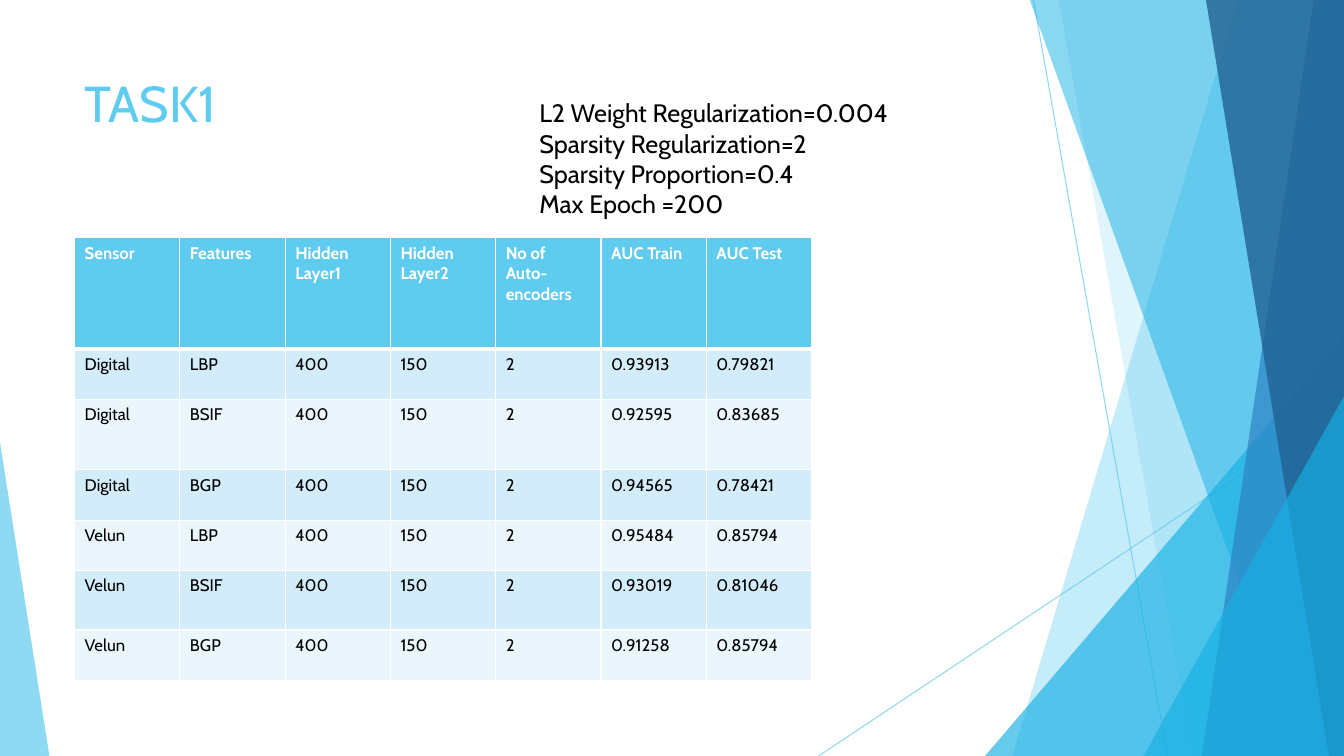
from pptx import Presentation
from pptx.dml.color import RGBColor
from pptx.enum.shapes import MSO_CONNECTOR, MSO_SHAPE
from pptx.enum.text import MSO_ANCHOR
from pptx.oxml.ns import qn
from pptx.util import Inches, Pt
from lxml.etree import SubElement, Element

FONT = "Cabin"
SKY, CYAN, BLUE, NAVY = "5FCBEF", "17B0E4", "2E83C3", "226292"
WHITE, BLACK = "FFFFFF", "000000"
BANDS = ["D2ECF9", "EAF6FC"]
RIGHT, BOTTOM = 13.33, 7.5

HEADERS = ["Sensor", "Features", "Hidden Layer1", "Hidden Layer2",
           "No of Auto-encoders", "AUC Train", "AUC Test"]
RESULTS = [
    ("Digital", "LBP", "0.93913", "0.79821"),
    ("Digital", "BSIF", "0.92595", "0.83685"),
    ("Digital", "BGP", "0.94565", "0.78421"),
    ("Velun", "LBP", "0.95484", "0.85794"),
    ("Velun", "BSIF", "0.93019", "0.81046"),
    ("Velun", "BGP", "0.91258", "0.85794"),
]
LAYERS = ("400", "150", "2")
ROW_HEIGHTS = [1.1, 0.5, 0.7, 0.5, 0.5, 0.59, 0.5]
TABLE_WIDTH = 7.31
SETTINGS = ["L2 Weight Regularization=0.004", "Sparsity Regularization=2",
            "Sparsity Proportion=0.4", "Max Epoch =200"]


def color(hex_string):
    return RGBColor.from_string(hex_string)


def set_alpha(fill_parent, percent):
    rgb = next(fill_parent.iter(qn("a:srgbClr")))
    SubElement(rgb, qn("a:alpha"), val=str(percent * 1000))


def paint(facet, fill, alpha):
    facet.shadow.inherit = False
    facet.fill.solid()
    facet.fill.fore_color.rgb = color(fill)
    set_alpha(facet.fill._xPr, alpha)
    facet.line.fill.background()


def add_ray(slide, start, end):
    ray = slide.shapes.add_connector(
        MSO_CONNECTOR.STRAIGHT, *[Inches(v) for v in start + end])
    ray.line.color.rgb = color(SKY)
    ray.line.width = Pt(0.75)
    properties = ray._element.spPr
    set_alpha(properties, 70)
    SubElement(properties, qn("a:effectLst"))


def add_band(slide, top_left, bottom_left, top_right, fill, alpha):
    """Band that fills the slide from a slanted left edge to the right side."""
    corners = [(top_left, -0.01), (top_right, -0.01),
               (RIGHT, BOTTOM), (bottom_left, BOTTOM)]
    points = [(Inches(x), Inches(y)) for x, y in corners]
    builder = slide.shapes.build_freeform(*points[0])
    builder.add_line_segments(points[1:], close=True)
    paint(builder.convert_to_shape(), fill, alpha)


def add_corner(slide, left, top, width, apex, fill, alpha):
    """Right triangle that stands on the bottom of the slide."""
    corner = slide.shapes.add_shape(
        MSO_SHAPE.ISOSCELES_TRIANGLE, Inches(left), Inches(top),
        Inches(width), Inches(BOTTOM - top))
    corner.adjustments[0] = apex
    paint(corner, fill, alpha)


def write(paragraph, text, size, hex_string, bold=False):
    run = paragraph.add_run()
    run.text = text
    run.font.name = FONT
    run.font.size = Pt(size)
    run.font.bold = bold
    run.font.color.rgb = color(hex_string)


def add_text(slide, left, top, width, height, lines, size, hex_string):
    box = slide.shapes.add_textbox(
        Inches(left), Inches(top), Inches(width), Inches(height))
    frame = box.text_frame
    frame.word_wrap = True
    frame.vertical_anchor = MSO_ANCHOR.TOP
    for number, line in enumerate(lines):
        paragraph = frame.add_paragraph() if number else frame.paragraphs[0]
        write(paragraph, line, size, hex_string)


def set_borders(cell, widths):
    properties = cell._tc.get_or_add_tcPr()
    for position, (side, points) in enumerate(widths.items()):
        border = Element(qn(f"a:ln{side}"), w=str(Pt(points)))
        fill = SubElement(border, qn("a:solidFill"))
        SubElement(fill, qn("a:srgbClr"), val=WHITE)
        properties.insert(position, border)


def add_results(slide):
    rows = [HEADERS] + [(sensor, feature, *LAYERS, train, test)
                        for sensor, feature, train, test in RESULTS]
    results = slide.shapes.add_table(
        len(rows), len(HEADERS), Inches(0.74), Inches(2.36),
        Inches(TABLE_WIDTH), Inches(sum(ROW_HEIGHTS))).table
    for column in results.columns:
        column.width = Inches(TABLE_WIDTH / len(HEADERS))
    for r, (values, height) in enumerate(zip(rows, ROW_HEIGHTS)):
        results.rows[r].height = Inches(height)
        header = r == 0
        for c, value in enumerate(values):
            cell = results.cell(r, c)
            cell.fill.solid()
            cell.fill.fore_color.rgb = color(SKY if header else BANDS[(r - 1) % 2])
            set_borders(cell, {"L": 1, "R": 1, "T": 3 if r == 1 else 1,
                               "B": 3 if header else 1})
            write(cell.text_frame.paragraphs[0], value, 12,
                  WHITE if header else BLACK, bold=header)


def main():
    deck = Presentation()
    deck.slide_width, deck.slide_height = Inches(RIGHT), Inches(BOTTOM)
    slide = deck.slides.add_slide(deck.slide_layouts[6])

    # Faceted backdrop
    add_ray(slide, (10.25, 0), (11.58, BOTTOM))
    add_ray(slide, (RIGHT, 4.03), (8.12, BOTTOM))
    add_band(slide, 12.28, 10.04, RIGHT, SKY, 36)
    add_band(slide, 10.5, 11.83, RIGHT, SKY, 20)
    add_corner(slide, 9.77, 3.33, 3.56, 1, CYAN, 66)
    add_band(slide, 10.21, 12.91, RIGHT, CYAN, 50)
    add_band(slide, 13.03, 11.92, RIGHT, BLUE, 70)
    add_band(slide, 11.96, 13.18, RIGHT, NAVY, 80)
    add_corner(slide, 11.34, 3.93, 1.99, 1, CYAN, 66)
    add_corner(slide, 0, 4.39, 0.49, 0, SKY, 70)

    # Title, results and training settings
    add_text(slide, 0.74, 0.67, 7.29, 0.87, ["TASK1"], 36, SKY)
    add_results(slide)
    add_text(slide, 5.25, 0.92, 4.99, 1.62, SETTINGS, 18, BLACK)

    deck.save("out.pptx")


if __name__ == "__main__":
    main()
